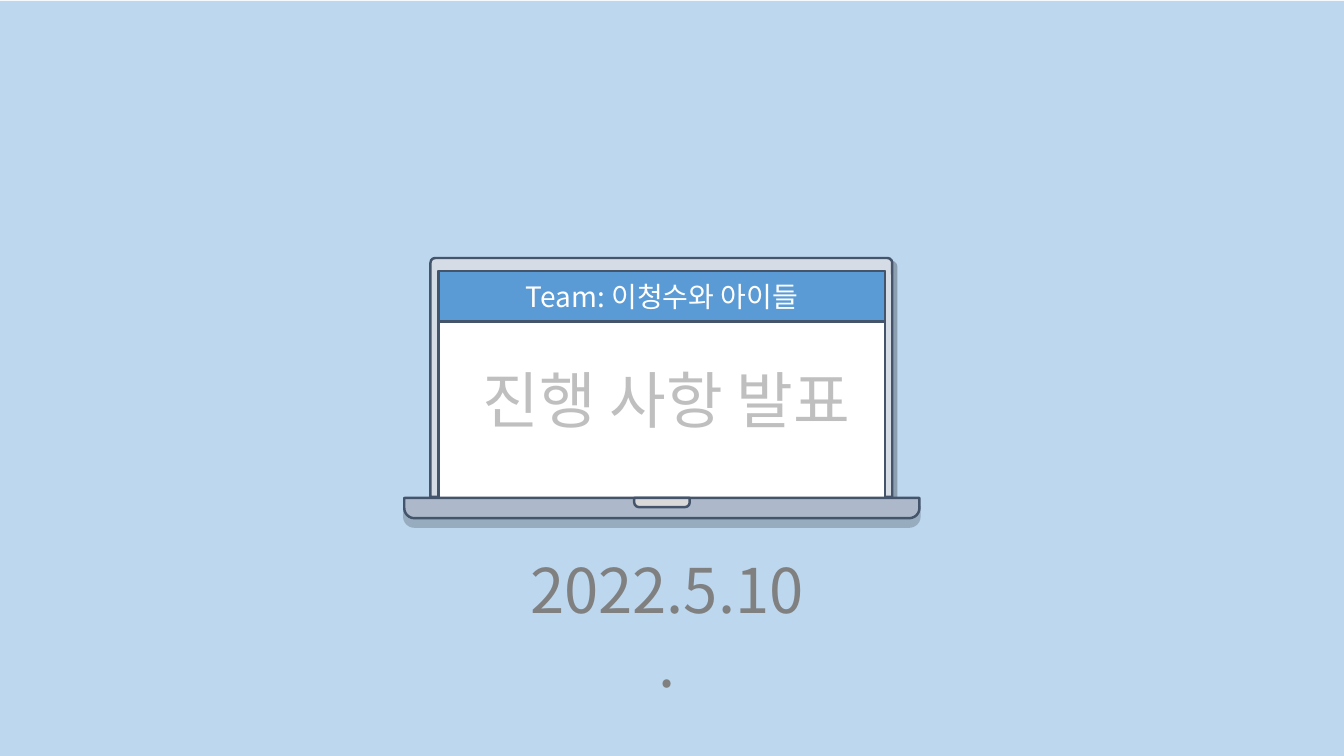
"""Builds a title slide with a laptop that shows the team and the topic."""
import pptx
import pptx.util
import pptx.dml.color
import pptx.enum.shapes
import pptx.enum.text
import pptx.oxml.ns
import lxml.etree

FONT = "Noto Sans CJK KR"
COLORS = {
    "sky": "BDD7EE", "outline": "44546A", "lid": "D6DCE5", "base": "ADB9CA",
    "notch": "D9D9D9", "bar": "5B9BD5", "white": "FFFFFF", "title": "BFBFBF",
    "date": "808080", "shadow": "000000",
}
WIDTH, HEIGHT = pptx.util.Inches(13.33), pptx.util.Inches(7.5)
RECT = pptx.enum.shapes.MSO_SHAPE.RECTANGLE
ROUNDED = pptx.enum.shapes.MSO_SHAPE.ROUND_2_SAME_RECTANGLE
SCREEN_LEFT, SCREEN_TOP, SCREEN_WIDTH = 32.63, 35.87, 33.23
HINGE = 65.87


def rgb(name):
    """Return the named colour."""
    return pptx.dml.color.RGBColor.from_string(COLORS[name])


def place(left, top, width, height):
    """Turn percentages of the slide's size into lengths."""
    return (int(WIDTH * left / 100), int(HEIGHT * top / 100),
            int(WIDTH * width / 100), int(HEIGHT * height / 100))


def add_shadow(sp, alpha, distance, angle):
    """Give a shape a sharp offset shadow."""
    qn = pptx.oxml.ns.qn
    effects = sp._element.spPr.find(qn("a:effectLst"))
    outer = lxml.etree.SubElement(
        effects, qn("a:outerShdw"), blurRad="0", dist=str(pptx.util.Pt(distance)),
        dir=str(angle * 60000), algn="t", rotWithShape="0")
    color = lxml.etree.SubElement(outer, qn("a:srgbClr"), val=COLORS["shadow"])
    lxml.etree.SubElement(color, qn("a:alpha"), val=str(alpha * 1000))


def add_panel(shapes, box, fill, kind=RECT, outlined=True, corners=(), shadow=None):
    """Draw a filled panel, with an outline and a shadow if wanted."""
    sp = shapes.add_shape(kind, *place(*box))
    sp.shadow.inherit = False
    sp.fill.solid()
    sp.fill.fore_color.rgb = rgb(fill)
    if outlined:
        sp.line.color.rgb = rgb("outline")
        sp.line.width = pptx.util.Pt(1.75)
    else:
        sp.line.fill.background()
    for i, corner in enumerate(corners):
        sp.adjustments[i] = corner
    if shadow:
        add_shadow(sp, *shadow)
    return sp


def write(sp, text, size, color, anchor=pptx.enum.text.MSO_ANCHOR.TOP):
    """Write one centred paragraph into a shape."""
    tf = sp.text_frame
    tf.word_wrap = True
    tf.vertical_anchor = anchor
    p = tf.paragraphs[0]
    p.alignment = pptx.enum.text.PP_ALIGN.CENTER
    r = p.add_run()
    r.text = text
    r.font.size = pptx.util.Pt(size)
    r.font.name = FONT
    r.font.color.rgb = rgb(color)
    ea = lxml.etree.SubElement(r.font._element, pptx.oxml.ns.qn("a:ea"))
    ea.set("typeface", FONT)


def add_laptop(shapes):
    """Draw the laptop's lid, screen, base and notch."""
    lid = shapes.add_group_shape().shapes
    add_panel(lid, (32.03, 34.13, 34.36, 31.6), "lid", ROUNDED,
              corners=(0.02, 0), shadow=(25, 4, 45))
    add_panel(lid, (SCREEN_LEFT, SCREEN_TOP, SCREEN_WIDTH, 30), "white")
    base = shapes.add_group_shape().shapes
    add_panel(base, (30.08, HINGE, 38.33, 2.67), "base", ROUNDED,
              corners=(0.02, 0.5), shadow=(20, 6, 90))
    add_panel(base, (47.19, HINGE, 4.13, 1.2), "notch", ROUNDED, corners=(0.02, 0.5))


def main():
    """Build and save the slide."""
    prs = pptx.Presentation()
    prs.slide_width, prs.slide_height = WIDTH, HEIGHT
    shapes = prs.slides.add_slide(prs.slide_layouts[6]).shapes
    add_panel(shapes, (0, 0.13, 100, 100), "sky", outlined=False)
    add_laptop(shapes)
    bar = add_panel(shapes, (SCREEN_LEFT, SCREEN_TOP, SCREEN_WIDTH, 6.67), "bar")
    write(bar, "Team: 이청수와 아이들", 20, "white", pptx.enum.text.MSO_ANCHOR.MIDDLE)
    title = shapes.add_textbox(*place(33.31, 47.2, 32.56, 11.2))
    write(title, "진행 사항 발표", 44, "title")
    date = shapes.add_textbox(*place(38.41, 72.4, 22.43, 11.2))
    write(date, "2022.5.10.", 44, "date")
    prs.save("out.pptx")


if __name__ == "__main__":
    main()
